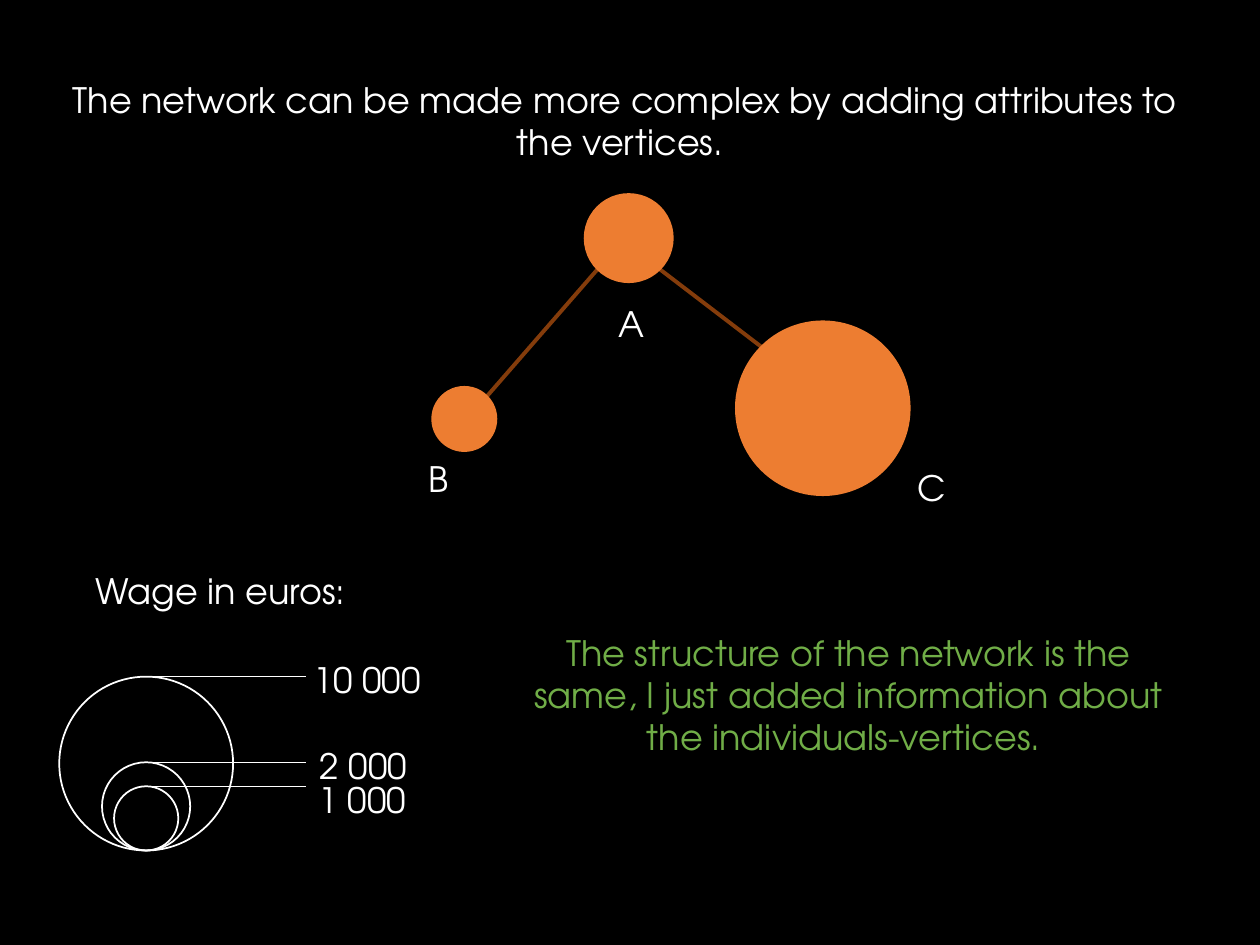
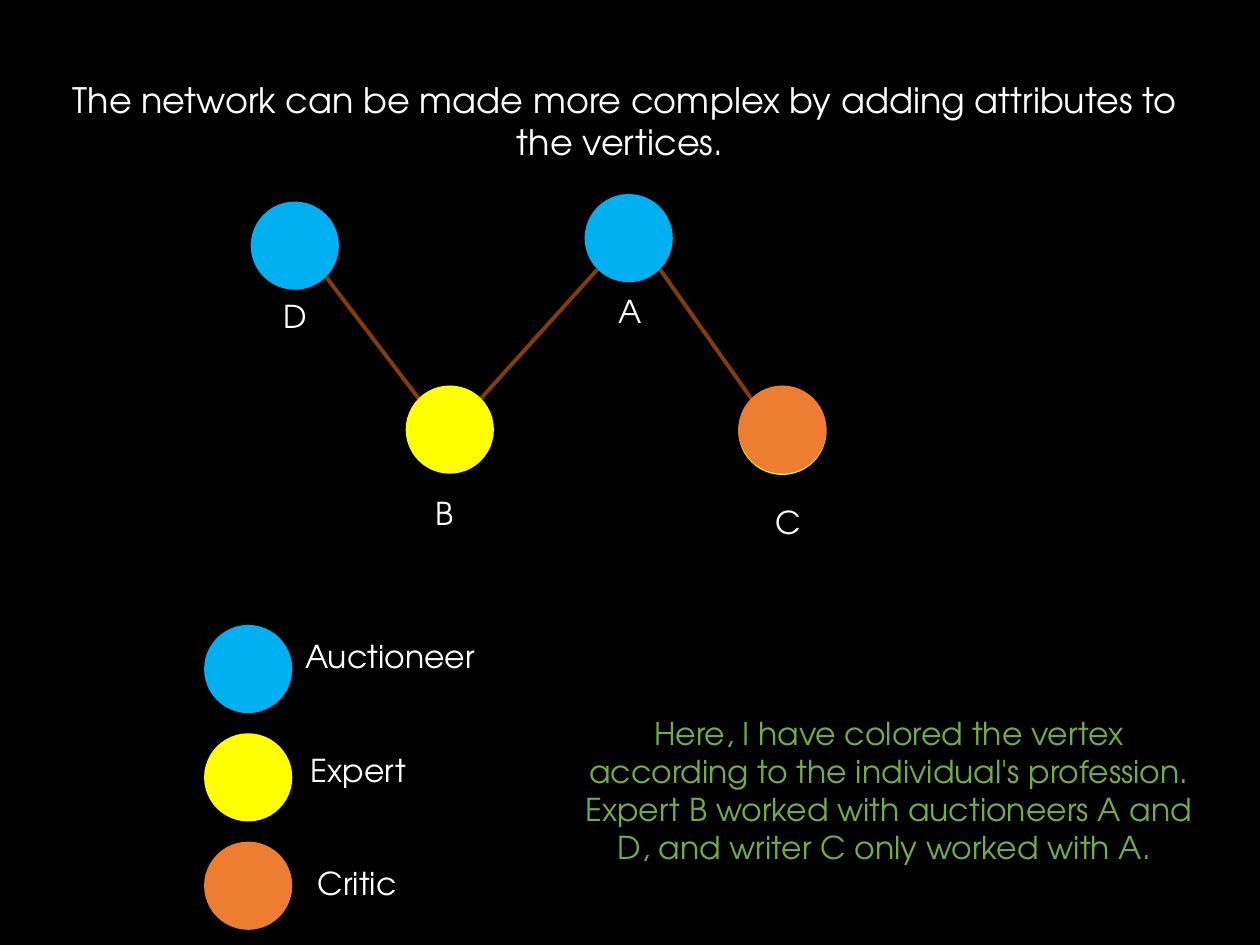
import pptx
import pptx.dml.color
import pptx.enum.shapes
import pptx.enum.text
import pptx.oxml
import pptx.util

# Theme: colours, type and line widths; lengths count cells of a 10 x 7.5 grid
THEME = {
    "font": "TeX Gyre Adventor",
    "background": "000000", "text": "FFFFFF", "note": "70AD47", "edge": "843C0B",
    "orange": "ED7D31", "blue": "00B0F0", "yellow": "FFFF00",
    "large": 20, "medium": 18,
    "edge_width": 2.25, "outline_width": 1, "leader_width": 0.5,
}
COLUMNS, ROWS = 10, 7.5
CELL = pptx.util.Inches(1)
VERTEX = 0.7
DIAGONAL = 0.5 ** 0.5

# Content shared by both slides
TITLE = "The network can be made more complex by adding attributes to the vertices. "
TITLE_AREA = (0.31, 0.57, 9.3, 0.77)

# Wage slide: vertex name -> left, top, diameter, colour
WAGE_VERTICES = {
    "B": (3.43, 3.07, 0.51, "orange"),
    "C": (5.84, 2.55, 1.38, "orange"),
    "A": (4.64, 1.54, VERTEX, "orange"),
}
WAGE_NAMES = {"B": (3.3, 3.58), "C": (7.18, 3.65), "A": (4.81, 2.35)}
WAGE_NOTE = ("The structure of the network is the same, I just added information "
             "about the individuals-vertices. ", (3.99, 4.96, 5.49, 1.11))
WAGE_HEADING = ("Wage in euros:", (0.21, 4.47, 3.08, 0.44))
# label, circle diameter, label left, rise of the label box above its leader
WAGES = [("10 000", 1.38, 2.02, 0.19), ("2 000", 0.7, 1.99, 0.19), ("1 000", 0.51, 1.98, 0.11)]
SCALE_CENTRE, SCALE_BOTTOM, LEADER_END = 1.16, 6.75, 2.43

# Profession slide
JOB_VERTICES = {
    "C rim": (5.86, 3.07, VERTEX, "yellow"),
    "A": (4.64, 1.54, VERTEX, "blue"),
    "D": (1.99, 1.6, VERTEX, "blue"),
    "B": (3.22, 3.06, VERTEX, "yellow"),
    "C": (5.86, 3.06, VERTEX, "orange"),
}
JOB_NAMES = {"B": (3.36, 3.87), "C": (6.06, 3.94), "A": (4.81, 2.27), "D": (2.15, 2.31)}
JOB_NOTE = ("Here, I have colored the vertex according to the individual's profession. "
            "Expert B worked with auctioneers A and D, and writer C only worked with A. ",
            (4.48, 5.62, 5.15, 1.31))
# label, colour, label left, label width
JOBS = [("Auctioneer", "blue", 1.71, 2.77), ("Expert", "yellow", 1.51, 2.67),
        ("Critic", "orange", 1.5, 2.67)]
JOB_LEFT, JOB_TOP, JOB_STEP = 1.62, 4.96, 0.86
JOB_LABEL_TOP, JOB_LABEL_STEP = 5.01, 0.9


def cells(*lengths):
    return [round(length * CELL) for length in lengths]


def color(name):
    return pptx.dml.color.RGBColor.from_string(THEME[name])


def set_format(target, values):
    for name, value in values.items():
        setattr(target, name, value)


def write(box, text, size, ink, centred):
    frame = box.text_frame
    set_format(frame, {
        "word_wrap": True,
        "auto_size": pptx.enum.text.MSO_AUTO_SIZE.SHAPE_TO_FIT_TEXT,
        "vertical_anchor": pptx.enum.text.MSO_ANCHOR.TOP,
    })
    para = frame.paragraphs[0]
    align = pptx.enum.text.PP_ALIGN
    para.alignment = align.CENTER if centred else align.LEFT
    span = para.add_run()
    span.text = text
    set_format(span.font, {"name": THEME["font"], "size": pptx.util.Pt(THEME[size])})
    span.font.color.rgb = color(ink)


def add_text(page, text, area, size="large", ink="text", centred=True):
    write(page.shapes.add_textbox(*cells(*area)), text, size, ink, centred)


def add_circle(page, left, top, diameter, fill=None, outline=None):
    oval = pptx.enum.shapes.MSO_SHAPE.OVAL
    circle = page.shapes.add_shape(oval, *cells(left, top, diameter, diameter))
    circle.shadow.inherit = False
    if fill:
        circle.fill.solid()
        circle.fill.fore_color.rgb = color(fill)
    else:
        circle.fill.background()
    if outline:
        circle.line.color.rgb = color(outline)
        circle.line.width = pptx.util.Pt(THEME["outline_width"])
    else:
        circle.line.fill.background()


def add_line(page, start, end, ink, width):
    straight = pptx.enum.shapes.MSO_CONNECTOR.STRAIGHT
    line = page.shapes.add_connector(straight, *cells(*start, *end))
    line.line.color.rgb = color(ink)
    line.line.width = pptx.util.Pt(THEME[width])
    properties = line._element.spPr
    properties.append(properties.makeelement(pptx.oxml.ns.qn("a:effectLst"), {}))


def rim_point(vertex, across, down):
    """Point on the circle in a diagonal direction; across and down are 1 or -1."""
    left, top, diameter, _ = vertex
    radius = diameter / 2
    return (left + radius * (1 + across * DIAGONAL), top + radius * (1 + down * DIAGONAL))


def add_network(page, vertices, names, edges, size, name_height, outlined=False):
    for upper, lower in edges:
        across = 1 if vertices[lower][0] > vertices[upper][0] else -1
        add_line(page, rim_point(vertices[upper], across, 1),
                 rim_point(vertices[lower], -across, -1), "edge", "edge_width")
    for left, top, diameter, fill in vertices.values():
        add_circle(page, left, top, diameter, fill, fill if outlined else None)
    for name, (left, top) in names.items():
        add_text(page, name, (left, top, 0.54, name_height), size, centred=False)


def add_page(deck):
    page = deck.slides.add_slide(deck.slide_layouts[5])
    title = page.shapes.title
    set_format(title, dict(zip(("left", "top", "width", "height"), cells(*TITLE_AREA))))
    write(title, TITLE, "large", "text", True)
    return page


def build_wage_page(deck):
    page = add_page(deck)
    add_network(page, WAGE_VERTICES, WAGE_NAMES, ["AB", "AC"], "large", 0.44, outlined=True)
    add_text(page, *WAGE_NOTE, ink="note")
    # Nested size scale: circles share their lowest point
    add_text(page, *WAGE_HEADING)
    for label, diameter, label_left, rise in WAGES:
        top = SCALE_BOTTOM - diameter
        add_circle(page, SCALE_CENTRE - diameter / 2, top, diameter, outline="text")
        add_line(page, (SCALE_CENTRE, top), (LEADER_END, top), "text", "leader_width")
        add_text(page, label, (label_left, top - rise, 1.79, 0.44))


def build_job_page(deck):
    page = add_page(deck)
    add_network(page, JOB_VERTICES, JOB_NAMES, ["AB", "AC", "DB"], "medium", 0.4)
    add_text(page, *JOB_NOTE, size="medium", ink="note")
    # Colour key
    for row, (label, fill, left, width) in enumerate(JOBS):
        add_circle(page, JOB_LEFT, JOB_TOP + row * JOB_STEP, VERTEX, fill)
        label_top = JOB_LABEL_TOP + row * JOB_LABEL_STEP
        add_text(page, label, (left, label_top, width, 0.4), "medium")


def main():
    deck = pptx.Presentation()
    deck.slide_width, deck.slide_height = cells(COLUMNS, ROWS)
    backdrop = deck.slide_master.background.fill
    backdrop.solid()
    backdrop.fore_color.rgb = color("background")
    build_wage_page(deck)
    build_job_page(deck)
    deck.save("out.pptx")


if __name__ == "__main__":
    main()
